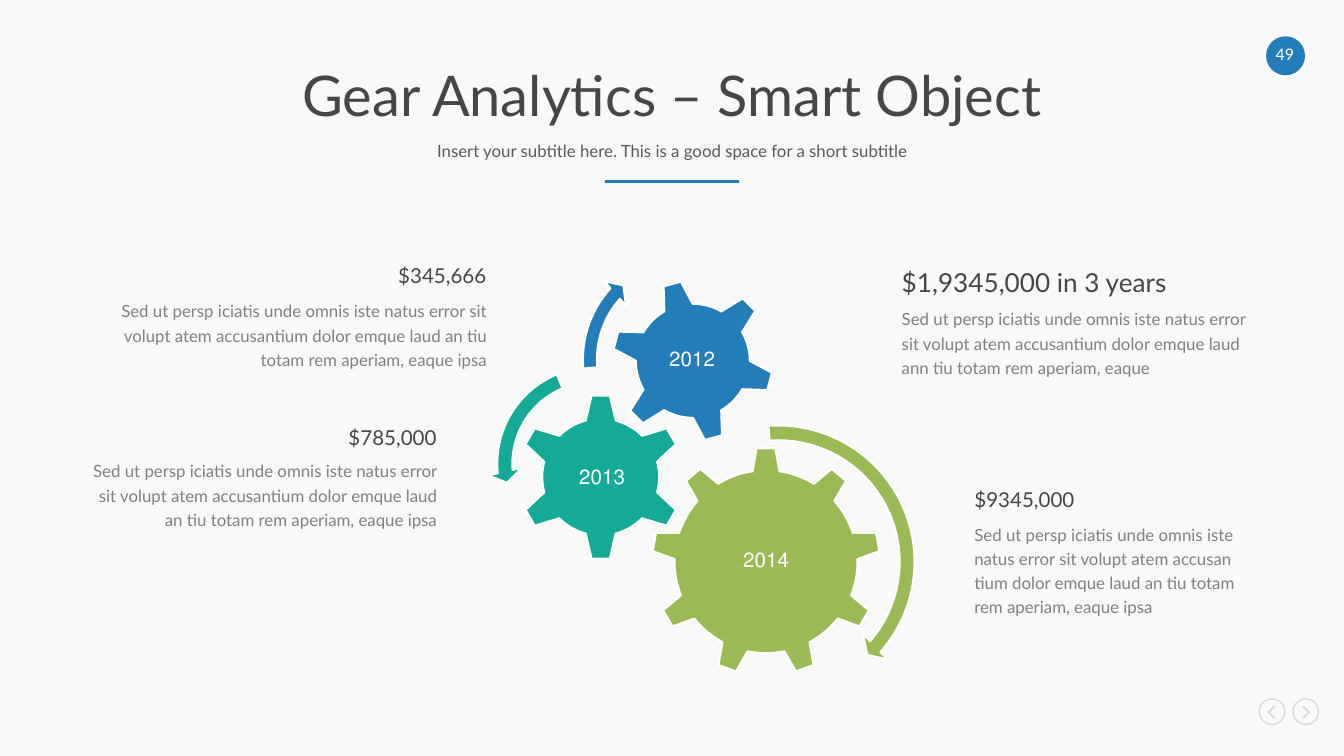
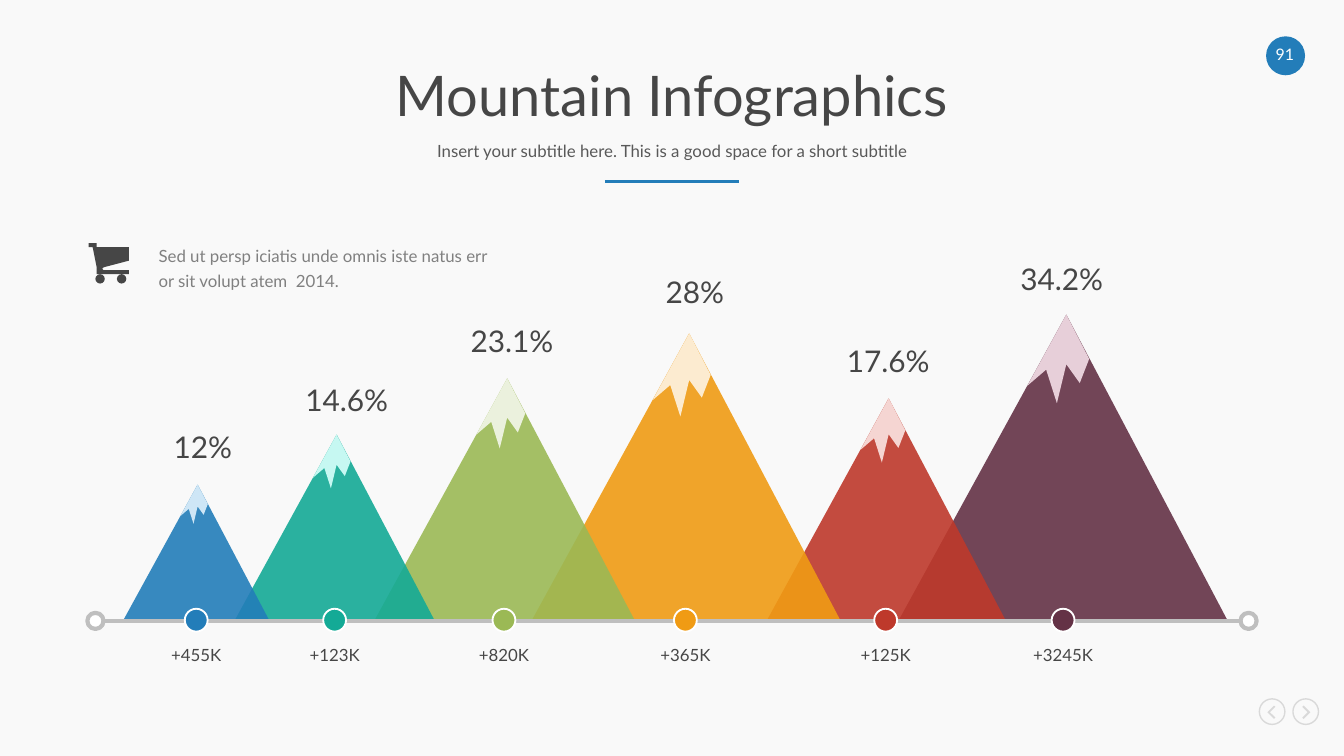
import pptx
import pptx.util
import pptx.dml.color
import pptx.enum.shapes
import pptx.enum.text
import pptx.oxml.ns
from lxml import etree

Inches = pptx.util.Inches
Pt = pptx.util.Pt
SHAPE = pptx.enum.shapes.MSO_SHAPE
ALIGN = pptx.enum.text.PP_ALIGN
ANCHOR = pptx.enum.text.MSO_ANCHOR
FIT = pptx.enum.text.MSO_AUTO_SIZE
qn = pptx.oxml.ns.qn
color = pptx.dml.color.RGBColor.from_string

BLUE, TEAL, GREEN = "237DB9", "14AA96", "9BB955"
ORANGE, RED, PLUM = "F09B14", "BE392B", "643246"
DARK, GRAY, PALE, RING, WHITE = "464646", "808080", "D9D9D9", "BFBFBF", "FFFFFF"


def draw(page, kind, at, fill=None, line=None, width=1):
    """Add a preset shape in a box, a "line" between two ends, or a "poly" through points."""
    if kind == "line":
        item = page.shapes.add_connector(
            pptx.enum.shapes.MSO_CONNECTOR.STRAIGHT, *map(Inches, at))
    elif kind == "poly":
        dots = [(Inches(x), Inches(y)) for x, y in at]
        edge = page.shapes.build_freeform(*dots[0])
        edge.add_line_segments(dots[1:], close=True)
        item = edge.convert_to_shape()
    else:
        item = page.shapes.add_shape(kind, *map(Inches, at))
    if line:
        item.line.color.rgb = color(line)
        item.line.width = Pt(width)
    else:
        item.line.fill.background()
    if kind == "line":
        etree.SubElement(item._element.spPr, qn("a:effectLst"))
        return item
    item.shadow.inherit = False
    if fill:
        item.fill.solid()
        item.fill.fore_color.rgb = color(fill)
    else:
        item.fill.background()
    return item


def write(page, at, text, size, ink=DARK, align=ALIGN.CENTER,
          space=None, after=0, middle=False, grow=True):
    """Add a one-paragraph text box without margins."""
    box = page.shapes.add_textbox(*map(Inches, at))
    frame = box.text_frame
    frame.margin_left = frame.margin_right = 0
    frame.margin_top = frame.margin_bottom = 0
    frame.word_wrap = True
    frame.auto_size = FIT.SHAPE_TO_FIT_TEXT if grow else FIT.NONE
    frame.vertical_anchor = ANCHOR.MIDDLE if middle else ANCHOR.TOP
    para = frame.paragraphs[0]
    para.text = text
    para.alignment = align
    para.line_spacing = space
    para.space_after = Pt(after)
    para.font.name = "Lato"
    para.font.size = Pt(size)
    para.font.color.rgb = color(ink)
    return para


# Widescreen deck, 16 to 9
deck = pptx.Presentation()
deck.slide_width = Inches(10)
deck.slide_height = Inches(10) * 9 // 16
back = deck.slide_master.background.fill
back.solid()
back.fore_color.rgb = color("F9F9F9")

# Shared frame: title, subtitle, rule, page number, arrows
HOOK = [(0.02, -0.05), (0.03, -0.04), (-0.01, 0), (0.03, 0.04), (0.02, 0.05), (-0.03, 0)]
pages = []
for title, number in [("Gear Analytics – Smart Object", "49"),
                      ("Mountain Infographics", "91")]:
    page = deck.slides.add_slide(deck.slide_layouts[6])
    pages.append(page)
    draw(page, "line", (4.5, 1.35, 5.5, 1.35), line=BLUE, width=1.5)
    draw(page, SHAPE.OVAL, (9.42, 0.27, 0.29, 0.29), BLUE)
    write(page, (9.44, 0.33, 0.24, 0.14), number, 8.5, WHITE)
    for left, mid, side in [(9.37, 9.46, 1), (9.62, 9.72, -1)]:
        draw(page, "poly", [(mid + side * x, 5.3 + y) for x, y in HOOK], PALE)
        draw(page, SHAPE.OVAL, (left, 5.2, 0.19, 0.19), line=PALE, width=0.75)
    write(page, (0.65, 0.48, 8.7, 0.5), title, 30, space=0.9, middle=True, grow=False)
    write(page, (0.65, 1.01, 8.7, 0.25),
          "Insert your subtitle here. This is a good space for a short subtitle",
          9, "595959", space=0.9, middle=True, grow=False)

gears, peaks = pages

# Gears with their years: left, top, size, turn, label box
for kind, left, top, size, turn, fill, year, spot in [
        (SHAPE.GEAR_9, 4.85, 3.33, 1.7, 0, GREEN, "2014", (5.19, 3.73, 1.02, 0.88)),
        (SHAPE.GEAR_6, 3.85, 2.93, 1.24, 0, TEAL, "2013", (4.17, 3.25, 0.62, 0.61)),
        (SHAPE.GEAR_6, 4.55, 2.08, 1.21, 345, BLUE, "2012", (4.81, 2.34, 0.68, 0.68))]:
    gear = draw(gears, kind, (left, top, size, size), fill, WHITE)
    gear.rotation = turn
    para = write(gears, spot, year, 11, WHITE, space=0.9, after=4,
                 middle=True, grow=False)
    para._p.get_or_add_pPr().set("rtl", "1")

# Curved arrows around the gears
for kind, left, top, size, fill, bends in [
        (SHAPE.CIRCULAR_ARROW, 4.7, 3.09, 2.18, GREEN, (0.05, 2.99, 24.71, 159.61, 0.06)),
        (SHAPE.LEFT_CIRCULAR_ARROW, 3.63, 2.66, 1.58, TEAL,
         (0.07, 4.3, 104.89, 148.38, 0.08)),
        (SHAPE.CIRCULAR_ARROW, 4.27, 1.82, 1.71, BLUE, (0.06, 3.94, 133.14, 105.08, 0.07))]:
    arrow = draw(gears, kind, (left, top, size, size), fill, WHITE)
    for i, bend in enumerate(bends):
        arrow.adjustments[i] = bend

# Amounts and their notes
LEAD = "Sed ut persp iciatis unde omnis iste natus error sit volupt atem "
NOTE = LEAD + "accusantium dolor emque laud an tiu totam rem aperiam, eaque ipsa"
for left, top, wide, drop, size, align, total, note in [
        (0.65, 1.96, 2.97, 0.25, 11, ALIGN.RIGHT, "$345,666", NOTE),
        (0.65, 3.16, 2.6, 0.24, 11, ALIGN.RIGHT, "$785,000", NOTE),
        (7.25, 3.62, 2.1, 0.25, 11, ALIGN.LEFT, "$9345,000",
         LEAD + "accusan tium dolor emque laud an tiu totam rem aperiam, eaque ipsa"),
        (6.71, 1.98, 2.64, 0.29, 14, ALIGN.LEFT, "$1,9345,000 in 3 years",
         LEAD + "accusantium dolor emque laud ann tiu totam rem aperiam, eaque")]:
    write(gears, (left, top + drop, wide, 0.55), note, 9, GRAY, align, Pt(13), 12)
    write(gears, (left, top, wide, 0.19), total, size, DARK, align, after=12)

# Mountains: left, width, colour, snow, dot centre, amount, share, share left and top
HILLS = [
    (0.92, 1.08, BLUE, "CEE6F6", 1.46, "+455K", "12%", 1.01, 3.19),
    (1.75, 1.48, TEAL, "C6F8F2", 2.49, "+123K", "14.6%", 2.08, 2.84),
    (2.79, 1.93, GREEN, "EBF1DD", 3.75, "+820K", "23.1%", 3.31, 2.4),
    (3.96, 2.29, ORANGE, "FCEBD0", 5.1, "+365K", "28%", 4.67, 2.04),
    (5.71, 1.77, RED, "F5D5D2", 6.59, "+125K", "17.6%", 6.11, 2.55),
    (6.69, 2.44, PLUM, "E7CFD9", 7.91, "+3245K", "34.2%", 7.4, 1.94),
]
BASE = 4.61
# Snow outline measured from the peak of the widest mountain
SNOW = [(0, 0), (-0.29, 0.53), (-0.15, 0.41), (-0.07, 0.66),
        (0, 0.37), (0.1, 0.51), (0.17, 0.33)]
for left, wide, fill, snow, *rest in reversed(HILLS):
    tip, top, zoom = left + 0.51 * wide, BASE - 0.93 * wide, wide / 2.44
    hill = draw(peaks, "poly", [(left, BASE), (left + wide, BASE), (tip, top)], fill)
    tint = hill._element.spPr.find(".//" + qn("a:srgbClr"))
    etree.SubElement(tint, qn("a:alpha")).set("val", "90000")
    draw(peaks, "poly", [(tip + x * zoom, top + y * zoom) for x, y in SNOW], snow)

# Axis with end rings
draw(peaks, "line", (0.77, 4.62, 9.23, 4.62), line=RING, width=2.25)
for left in (0.65, 9.23):
    draw(peaks, SHAPE.OVAL, (left, 4.56, 0.12, 0.12), WHITE, RING, 2.25)

# Dots, amounts and shares
for left, wide, fill, snow, mid, amount, share, x, y in HILLS:
    draw(peaks, SHAPE.OVAL, (mid - 0.17 / 2, 4.53, 0.17, 0.17), fill, WHITE)
    write(peaks, (mid - 0.38, 4.77, 0.76, 0.16), amount, 9, space=Pt(13), after=12)
    write(peaks, (x, y, 1, 0.27), share, 16, grow=False)

# Cart and its note
CART = [(0.66, 1.81), (0.72, 1.81), (0.72, 1.84), (0.96, 1.84), (0.96, 1.94),
        (0.77, 1.99), (0.76, 2), (0.77, 2.01), (0.96, 2.01), (0.96, 2.04),
        (0.72, 2.04), (0.72, 1.99), (0.69, 1.84), (0.66, 1.84)]
draw(peaks, "poly", CART, DARK)
for left in (0.71, 0.87):
    draw(peaks, SHAPE.OVAL, (left, 2.04, 0.07, 0.07), DARK)
write(peaks, (1.18, 1.8, 2.58, 0.35),
      "Sed ut persp iciatis unde omnis iste natus err or sit volupt atem  2014.",
      9, GRAY, ALIGN.LEFT, Pt(13), 6)

deck.save("out.pptx")
